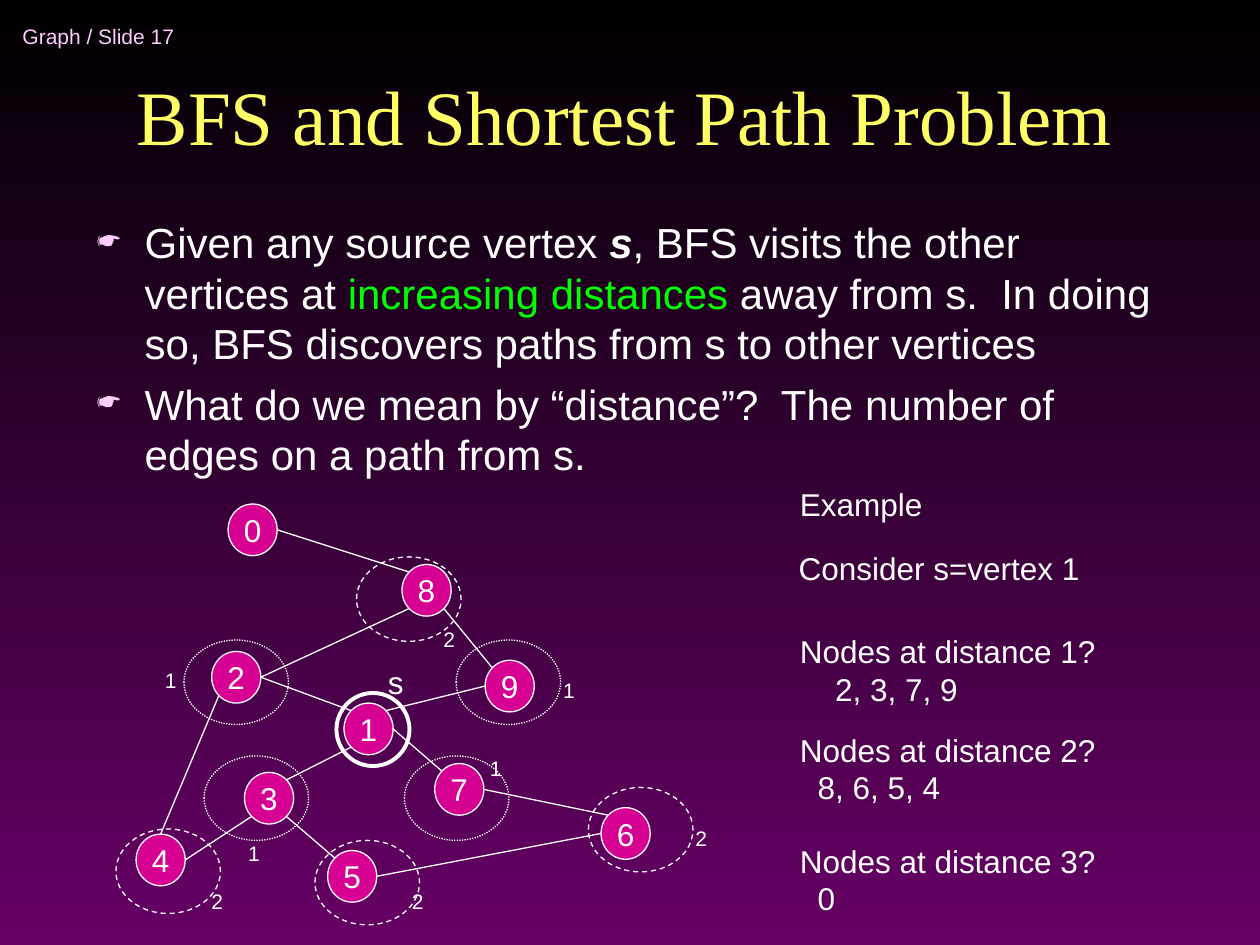
import math

from lxml import etree
from pptx import Presentation
from pptx import util as u
from pptx.dml import color
from pptx.enum import dml, shapes, text
from pptx.oxml import ns

COLORS = {
    "top": "000000",
    "bottom": "660066",
    "title": "FFFF66",
    "accent": "FFCCFF",
    "text": "FFFFFF",
    "stress": "00FF00",
    "node": "D60093",
}
COLUMNS, ROWS = 100, 75
SIDES = ["N", "NW", "W", "SW", "S", "SE", "E", "NE"]
NODE_SIZE = (3.9, 4.1)
RING_SIZE = (8.3, 6.7)
MARK_SIZE = (2.9, 3)


def rgb(name):
    return color.RGBColor.from_string(COLORS[name])


def apply(target, values):
    for name, value in values.items():
        setattr(target, name, value)


class Deck:
    def __init__(self):
        self.presentation = Presentation()
        apply(self.presentation, {"slide_width": u.Inches(10), "slide_height": u.Inches(7.5)})
        self.column = self.presentation.slide_width / COLUMNS
        self.row = self.presentation.slide_height / ROWS
        self.slide = self.presentation.slides.add_slide(self.presentation.slide_layouts[6])

    def place(self, left, top, width, height):
        return [round(left * self.column), round(top * self.row),
                round(width * self.column), round(height * self.row)]

    def background(self):
        fill = self.slide.background.fill
        fill.gradient()
        fill.gradient_angle = 270
        for stop, name, position in zip(fill.gradient_stops, ("top", "bottom"), (0, 1)):
            stop.color.rgb = rgb(name)
            stop.position = position

    def add_words(self, paragraph, content, size, tint="text", face="Arial", **style):
        run = paragraph.add_run()
        run.text = content
        apply(run.font, {"size": u.Pt(size), "name": face, **style})
        run.font.color.rgb = rgb(tint)

    def box(self, area, wrap=True, anchor=text.MSO_ANCHOR.TOP):
        frame = self.slide.shapes.add_textbox(*self.place(*area)).text_frame
        apply(frame, {"word_wrap": wrap, "vertical_anchor": anchor})
        return frame

    def label(self, area, content, size, tint="text", face="Arial", wrap=False,
              anchor=text.MSO_ANCHOR.TOP, align=text.PP_ALIGN.LEFT):
        paragraph = self.box(area, wrap, anchor).paragraphs[0]
        paragraph.alignment = align
        self.add_words(paragraph, content, size, tint, face)

    def bullets(self, area, points):
        frame = self.box(area)
        for index, point in enumerate(points):
            paragraph = frame.add_paragraph() if index else frame.paragraphs[0]
            properties = paragraph._p.get_or_add_pPr()
            properties.set("marL", str(u.Inches(0.38)))
            properties.set("indent", str(-u.Inches(0.38)))
            tint = etree.SubElement(properties, ns.qn("a:buClr"))
            etree.SubElement(tint, ns.qn("a:srgbClr"), val=COLORS["accent"])
            etree.SubElement(properties, ns.qn("a:buSzPct"), val="75000")
            etree.SubElement(properties, ns.qn("a:buChar"), char="☛")
            if index:
                paragraph.space_before = u.Pt(6)
            for content, style in point:
                self.add_words(paragraph, content, 24, **style)

    def answer(self, area, question, reply, indent):
        frame = self.box(area)
        self.add_words(frame.paragraphs[0], question, 18)
        paragraph = frame.add_paragraph()
        paragraph._p.get_or_add_pPr().set("marL", str(u.Inches(indent)))
        self.add_words(paragraph, reply, 18)

    def ellipse(self, area, weight=0.75, dash=None, fill=None):
        oval = self.slide.shapes.add_shape(shapes.MSO_SHAPE.OVAL, *self.place(*area))
        oval.shadow.inherit = False
        if fill:
            oval.fill.solid()
            oval.fill.fore_color.rgb = rgb(fill)
        else:
            oval.fill.background()
        oval.line.color.rgb = rgb("text")
        apply(oval.line, {"width": u.Pt(weight), "dash_style": dash})
        return oval

    def node(self, corner, name):
        frame = self.ellipse((*corner, *NODE_SIZE), fill="node").text_frame
        apply(frame, {"word_wrap": False, "vertical_anchor": text.MSO_ANCHOR.MIDDLE})
        frame.paragraphs[0].alignment = text.PP_ALIGN.CENTER
        self.add_words(frame.paragraphs[0], name, 18)

    def rim(self, corner, side):
        angle = math.radians(45 * SIDES.index(side))
        width, height = NODE_SIZE
        x = corner[0] + width / 2 * (1 - math.sin(angle))
        y = corner[1] + height / 2 * (1 - math.cos(angle))
        return self.place(x, y, 0, 0)[:2]

    def edge(self, start, end):
        connector = self.slide.shapes.add_connector(
            shapes.MSO_CONNECTOR.STRAIGHT, *self.rim(*start), *self.rim(*end))
        connector.line.color.rgb = rgb("text")
        connector.line.width = u.Pt(0.75)
        etree.SubElement(connector._element.spPr, ns.qn("a:effectLst"))


def main():
    deck = Deck()
    deck.background()
    deck.label((0.8, 0.8, 27.5, 4.2), "Graph / Slide 17", 12, "accent", wrap=True,
               anchor=text.MSO_ANCHOR.MIDDLE)
    deck.label((6.7, 2.5, 85.8, 10.8), "BFS and Shortest Path Problem", 44, "title",
               "Times New Roman", True, text.MSO_ANCHOR.BOTTOM, text.PP_ALIGN.CENTER)
    deck.bullets((6.7, 16.7, 85.8, 54.2), [
        [("Given any source vertex ", {}),
         ("s", {"bold": True, "italic": True}),
         (", BFS visits the other vertices at ", {}),
         ("increasing distances", {"tint": "stress"}),
         (" away from s.  In doing so, BFS discovers paths from s to other vertices", {})],
        [("What do we mean by “distance”?  The number of edges on a path from s.", {})],
    ])

    nodes = {
        "2": (16.8, 51.7), "4": (10.8, 66.2), "3": (19.4, 61.3), "5": (26, 67.5),
        "1": (27.3, 55.8), "7": (34.5, 60.6), "6": (47.7, 64.1), "9": (38.5, 52.4),
        "8": (31.9, 44.8), "0": (18.1, 40),
    }
    for name, corner in nodes.items():
        deck.node(corner, name)

    edges = [
        "0 E 8 NW", "8 SE 9 NW", "9 W 1 NE", "8 SW 2 E", "2 E 1 NW", "2 SW 4 N",
        "4 E 3 SW", "3 NE 1 SW", "3 SE 5 NW", "5 E 6 W", "1 E 7 NW", "7 E 6 NW",
    ]
    for edge in edges:
        source, leaving, target, arriving = edge.split()
        deck.edge((nodes[source], leaving), (nodes[target], arriving))

    levels = {
        "1": (dml.MSO_LINE.ROUND_DOT,
              [(14.6, 50.8), (16.2, 60), (32.1, 60), (36.2, 50.8)],
              [(12.1, 52.5), (18.7, 66.2), (37.9, 59.5), (43.7, 53.3)]),
        "2": (dml.MSO_LINE.DASH,
              [(28.3, 44.2), (9.2, 65.8), (25, 66.7), (46.7, 62.5)],
              [(34.2, 49.2), (15.8, 70), (31.7, 70), (54.2, 65)]),
    }
    for distance, (dash, rings, marks) in levels.items():
        for ring, mark in zip(rings, marks):
            deck.ellipse((*ring, *RING_SIZE), dash=dash)
            deck.label((*mark, *MARK_SIZE), distance, 12)

    deck.ellipse((26.7, 55, 5.8, 5.8), weight=2.25)
    deck.label((29.8, 52.1, 3.2, 4), "s", 18)

    deck.label((62.5, 38, 11.7, 4), "Example", 18)
    deck.label((62.4, 43.1, 24.3, 4), "Consider s=vertex 1", 18)
    answers = [(49.7, "2, 3, 7, 9", 0.28), (57.5, "8, 6, 5, 4", 0.14), (66.3, "0", 0.14)]
    for distance, (top, reply, indent) in enumerate(answers, 1):
        deck.answer((62.5, top, 25.6, 7), f"Nodes at distance {distance}?", reply, indent)

    deck.presentation.save("out.pptx")


if __name__ == "__main__":
    main()
